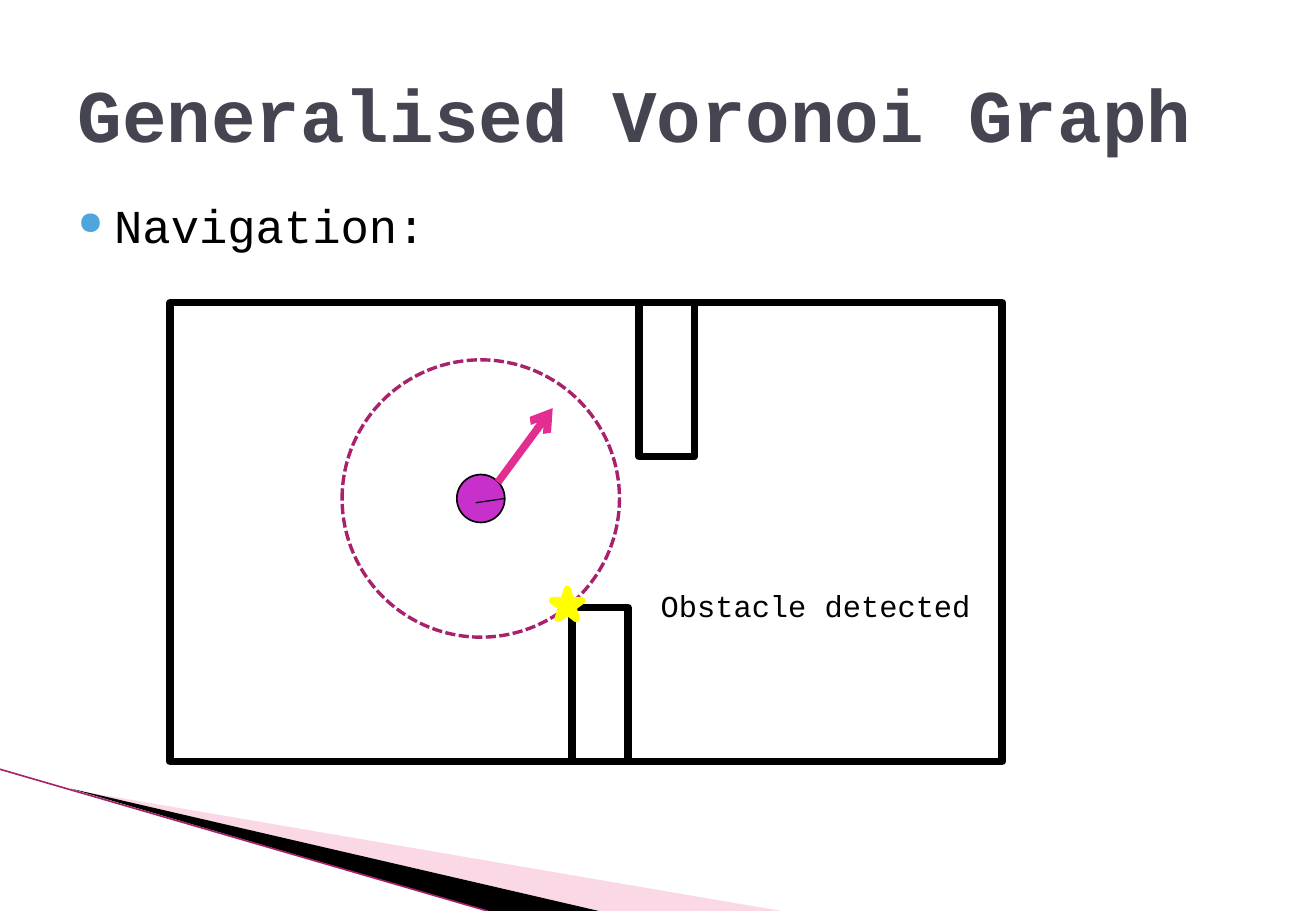
import pptx
import pptx.util
import pptx.dml.color
import pptx.enum.dml
import pptx.enum.shapes
import pptx.enum.text
import pptx.oxml
import pptx.oxml.ns

Pt = pptx.util.Pt
SHAPE = pptx.enum.shapes.MSO_SHAPE
ANCHOR = pptx.enum.text.MSO_ANCHOR
DASH = pptx.enum.dml.MSO_LINE

COLORS = {
    "text": "000000", "title": "454551", "bullet": "4EA6DC",
    "wall": "000000", "robot": "C830CC", "range": "A8216B",
    "heading": "E32D91", "hit": "FFFF00", "pink": "F39EC0",
}


def rgb(name):
    return pptx.dml.color.RGBColor.from_string(COLORS[name])


def add_xml(parent, tag, inner="", attrs=""):
    """Append one DrawingML element to parent."""
    ns = pptx.oxml.ns.nsdecls("a")
    parent.append(pptx.oxml.parse_xml(f"<a:{tag} {ns} {attrs}>{inner}</a:{tag}>"))


def write(p, text, size=18, color="text", bold=False, font="Courier New"):
    r = p.add_run()
    r.text = text
    r.font.name, r.font.size, r.font.bold = font, Pt(size), bold
    r.font.color.rgb = rgb(color)


class Deck:
    """Holds the presentation, its current slide and the drawing style."""

    def __init__(self, width, height):
        self.prs = pptx.Presentation()
        self.prs.slide_width, self.prs.slide_height = Pt(width), Pt(height)
        self.s = self.prs.slides.add_slide(self.prs.slide_layouts[6])

    def paint(self, sp, fill=None, line=None, weight=1, dash=None):
        sp.shadow.inherit = False
        if fill:
            sp.fill.solid()
            sp.fill.fore_color.rgb = rgb(fill)
        else:
            sp.fill.background()
        if line:
            sp.line.color.rgb = rgb(line)
            sp.line.width = Pt(weight)
            if dash:
                sp.line.dash_style = dash
            add_xml(sp.line._get_or_add_ln(), "round")
        else:
            sp.line.fill.background()
        return sp

    def shape(self, kind, x, y, w, h, **style):
        sp = self.s.shapes.add_shape(kind, Pt(x), Pt(y), Pt(w), Pt(h))
        return self.paint(sp, **style)

    def circle(self, cx, cy, radius, **style):
        return self.shape(SHAPE.OVAL, cx - radius, cy - radius,
                          2 * radius, 2 * radius, **style)

    def polygon(self, points, fill, alpha=None):
        pts = [(Pt(x), Pt(y)) for x, y in points]
        fb = self.s.shapes.build_freeform(*pts[0])
        fb.add_line_segments(pts[1:], close=True)
        sp = self.paint(fb.convert_to_shape(), fill=fill)
        if alpha:
            clr = sp.fill._xPr.find(".//" + pptx.oxml.ns.qn("a:srgbClr"))
            add_xml(clr, "alpha", attrs=f'val="{alpha * 1000}"')

    def line(self, x1, y1, x2, y2, color, weight, arrow=False):
        c = self.s.shapes.add_connector(
            pptx.enum.shapes.MSO_CONNECTOR.STRAIGHT,
            Pt(x1), Pt(y1), Pt(x2), Pt(y2))
        c.line.color.rgb = rgb(color)
        c.line.width = Pt(weight)
        if arrow:
            add_xml(c.line._get_or_add_ln(), "tailEnd", attrs='type="arrow"')
        add_xml(c._element.spPr, "effectLst")

    def text(self, x, y, w, h, text, anchor=ANCHOR.TOP, wrap=True, **fmt):
        tf = self.s.shapes.add_textbox(Pt(x), Pt(y), Pt(w), Pt(h)).text_frame
        tf.word_wrap, tf.vertical_anchor = wrap, anchor
        p = tf.paragraphs[0]
        write(p, text, **fmt)
        return p

    def bullet(self, x, y, w, h, text, **fmt):
        p = self.text(x, y, w, h, text, **fmt)
        p.line_spacing, p.space_before = 0.9, Pt(4)
        pPr = p._p.get_or_add_pPr()
        indent = Pt(21.6)
        pPr.set("marL", str(indent))
        pPr.set("indent", str(-indent))
        add_xml(pPr, "buClr", f'<a:srgbClr val="{COLORS["bullet"]}"/>')
        add_xml(pPr, "buSzPct", attrs='val="68000"')
        add_xml(pPr, "buChar", attrs='char="●"')


def main():
    d = Deck(780, 540)

    # Corner decoration
    d.polygon([(42, 468), (463, 540), (356, 540)], "pink", alpha=40)
    d.polygon([(42, 467.5), (355, 540), (289, 540)], "wall")
    d.line(0, 456, 289, 540, "range", 0.95)

    # Title and bullet
    d.text(39, 21.6, 702, 90, "Generalised Voronoi Graph",
           anchor=ANCHOR.MIDDLE, size=44, color="title", bold=True)
    d.bullet(39, 116.6, 702, 357, "Navigation:", size=28)

    # Robot and its heading mark
    cx, cy = 285, 295.5
    d.circle(cx, cy, 14.2, fill="robot", line="wall")
    d.line(282, 298, 299.2, 295.5, "wall", 0.75)

    # Room with two obstacles, one on each long wall
    left, top, width, height = 100.8, 179.3, 493.2, 272.2
    obstacle_w, obstacle_h = 33.1, 91.4
    for x, y, w, h in [
        (left, top, width, height),
        (339.1, top + height - obstacle_h, obstacle_w, obstacle_h),
        (378.7, top, obstacle_w, obstacle_h),
    ]:
        d.shape(SHAPE.RECTANGLE, x, y, w, h, line="wall", weight=4.33)

    # Sensor range and detected corner
    d.circle(cx, cy, 82.2, line="range", weight=2, dash=DASH.SQUARE_DOT)
    d.shape(SHAPE.STAR_5_POINT, 327.6, 349.4, 17.3, 17.3,
            fill="hit", line="hit", weight=4.33)
    d.text(384.5, 344.5, 206, 36, "Obstacle detected", wrap=False)

    # Direction of travel
    d.line(295.2, 285.8, 327.6, 241.9, "heading", 4.5, arrow=True)

    d.prs.save("out.pptx")


if __name__ == "__main__":
    main()
